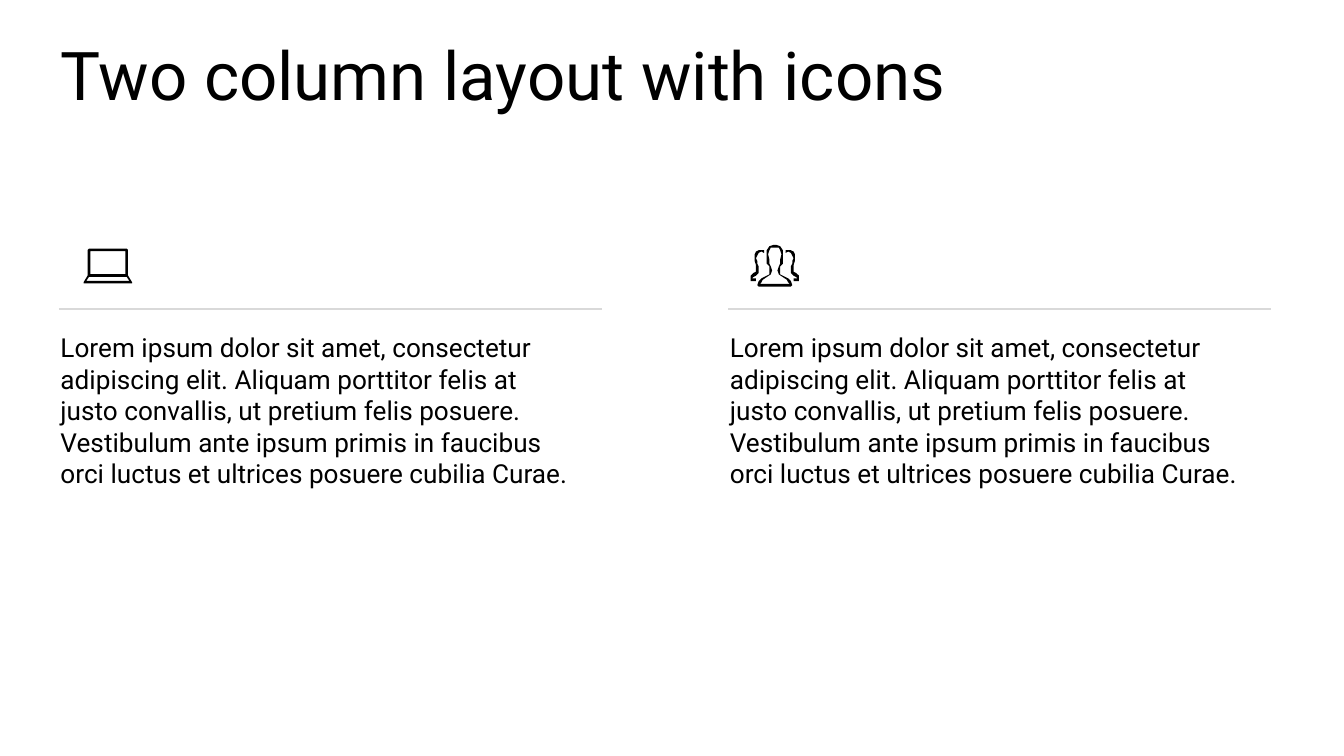
"""Build a slide with two icon-topped text columns."""
from dataclasses import dataclass

from lxml.etree import SubElement
from pptx import Presentation
from pptx.dml.color import RGBColor
from pptx.enum.shapes import MSO_CONNECTOR as Connector
from pptx.enum.text import MSO_ANCHOR as Anchor, MSO_AUTO_SIZE as AutoSize, PP_ALIGN as Align
from pptx.oxml.ns import qn
from pptx.shapes.placeholder import SlidePlaceholder
from pptx.slide import Slide
from pptx.util import Pt

BLACK = RGBColor(0x00, 0x00, 0x00)
RULE_GRAY = RGBColor(0xD9, 0xD9, 0xD9)
FONT = "Roboto"
ICON_UNIT = Pt(0.72)

Contour = list[tuple[float, float]]


@dataclass(frozen=True)
class Box:
    left: float
    top: float
    width: float
    height: float


@dataclass(frozen=True)
class Column:
    left: float
    icon_center: float
    icon_top: float
    icon: list[Contour]


def mirrored(half: Contour) -> Contour:
    return [(-x, y) for x, y in half]


def symmetric(half: Contour) -> Contour:
    return half + mirrored(half)[::-1]


LAPTOP = [
    symmetric([(13, 0), (14.5, 0.3), (15, 1), (15, 19), (15.3, 20),
               (18, 25), (18, 25.6), (17, 26)]),
    symmetric([(13.3, 1.5), (13.3, 19)]),
    symmetric([(13.5, 20.7), (16, 24.5)]),
]
SIDE_PERSON = [
    (15.5, 21), (14, 20), (13.5, 18), (13.8, 16), (14.5, 15), (14.8, 12),
    (15.2, 10), (15, 7), (14.3, 5.3), (12.5, 4.2), (9.5, 3.8), (7.8, 4.2),
    (8.4, 5.7), (9.5, 5.4), (11.5, 5.6), (12.3, 6.3), (13.4, 7.5),
    (13.5, 9.5), (12.9, 11.5), (12.8, 14), (12, 16), (11.9, 18),
    (12.5, 21), (14.5, 22.7), (16.2, 23.8), (16.9, 25.4), (13.5, 25.4),
    (14.2, 27), (17.8, 27), (18.5, 26), (17.8, 23),
]
PEOPLE = [
    symmetric([(1, 0), (3.5, 0.7), (5.5, 3.5), (6.4, 7), (5.9, 11),
               (5.7, 14), (4.3, 16.5), (3.8, 19), (4.5, 21.5), (6.5, 23),
               (10, 24.8), (12, 27), (12.6, 30), (11.7, 31)]),
    symmetric([(1, 1.6), (2.8, 2.1), (4.4, 4.5), (4.9, 7), (4.3, 11),
               (4.3, 13.5), (2.7, 16), (2.2, 19), (3, 22.3), (5.8, 24.5),
               (9, 26), (10.5, 27.5), (10.9, 29.3)]),
    SIDE_PERSON,
    mirrored(SIDE_PERSON),
]
COLUMNS = [
    Column(25.2, 57.8, 133.2, LAPTOP),
    Column(383.8, 415.1, 131.2, PEOPLE),
]
BODY = (
    "Lorem ipsum dolor sit amet, consectetur adipiscing elit. "
    "Aliquam porttitor felis at justo convallis, ut pretium felis posuere. "
    "Vestibulum ante ipsum primis in faucibus orci luctus et ultrices "
    "posuere cubilia Curae."
)


def write_text(shape: SlidePlaceholder, text: str, *, box: Box, size: float,
               anchor: Anchor = Anchor.TOP, line_spacing: float | None = None) -> None:
    shape.left, shape.top = Pt(box.left), Pt(box.top)
    shape.width, shape.height = Pt(box.width), Pt(box.height)
    frame = shape.text_frame
    frame.text = text
    frame.word_wrap = True
    frame.auto_size = AutoSize.NONE
    frame.vertical_anchor = anchor
    paragraph = frame.paragraphs[0]
    paragraph.alignment = Align.LEFT
    if line_spacing is not None:
        paragraph.line_spacing = Pt(line_spacing)
    properties = paragraph._p.get_or_add_pPr()
    properties.set("marL", "0")
    properties.set("indent", "0")
    SubElement(properties, qn("a:buNone"))
    font = paragraph.runs[0].font
    font.name, font.size = FONT, Pt(size)
    font.color.rgb = BLACK


def draw_icon(slide: Slide, column: Column) -> None:
    first, *others = column.icon
    builder = slide.shapes.build_freeform(*first[0], scale=ICON_UNIT)
    builder.add_line_segments(first[1:])
    for contour in others:
        builder.move_to(*contour[0])
        builder.add_line_segments(contour[1:])
    icon = builder.convert_to_shape(Pt(column.icon_center), Pt(column.icon_top))
    icon.shadow.inherit = False
    icon.fill.solid()
    icon.fill.fore_color.rgb = BLACK
    icon.line.fill.background()


def draw_rule(slide: Slide, left: float, top: float, width: float) -> None:
    rule = slide.shapes.add_connector(
        Connector.STRAIGHT, Pt(left), Pt(top), Pt(left + width), Pt(top))
    rule.line.color.rgb = RULE_GRAY
    rule.line.width = Pt(0.75)
    SubElement(rule._element.spPr, qn("a:effectLst"))


def main() -> None:
    presentation = Presentation()
    presentation.slide_width, presentation.slide_height = Pt(720), Pt(405)
    slide = presentation.slides.add_slide(presentation.slide_layouts[3])
    title, *bodies = slide.placeholders
    write_text(title, "Two column layout with icons", box=Box(25.2, 19.4, 667.4, 48.2),
               size=36, anchor=Anchor.MIDDLE, line_spacing=35)
    for column, body in zip(COLUMNS, bodies):
        write_text(body, BODY, box=Box(column.left, 174.2, 290.2, 193), size=14)
        draw_icon(slide, column)
        draw_rule(slide, column.left + 6.3, 165.6, 290.9)
    presentation.save("out.pptx")


if __name__ == "__main__":
    main()
